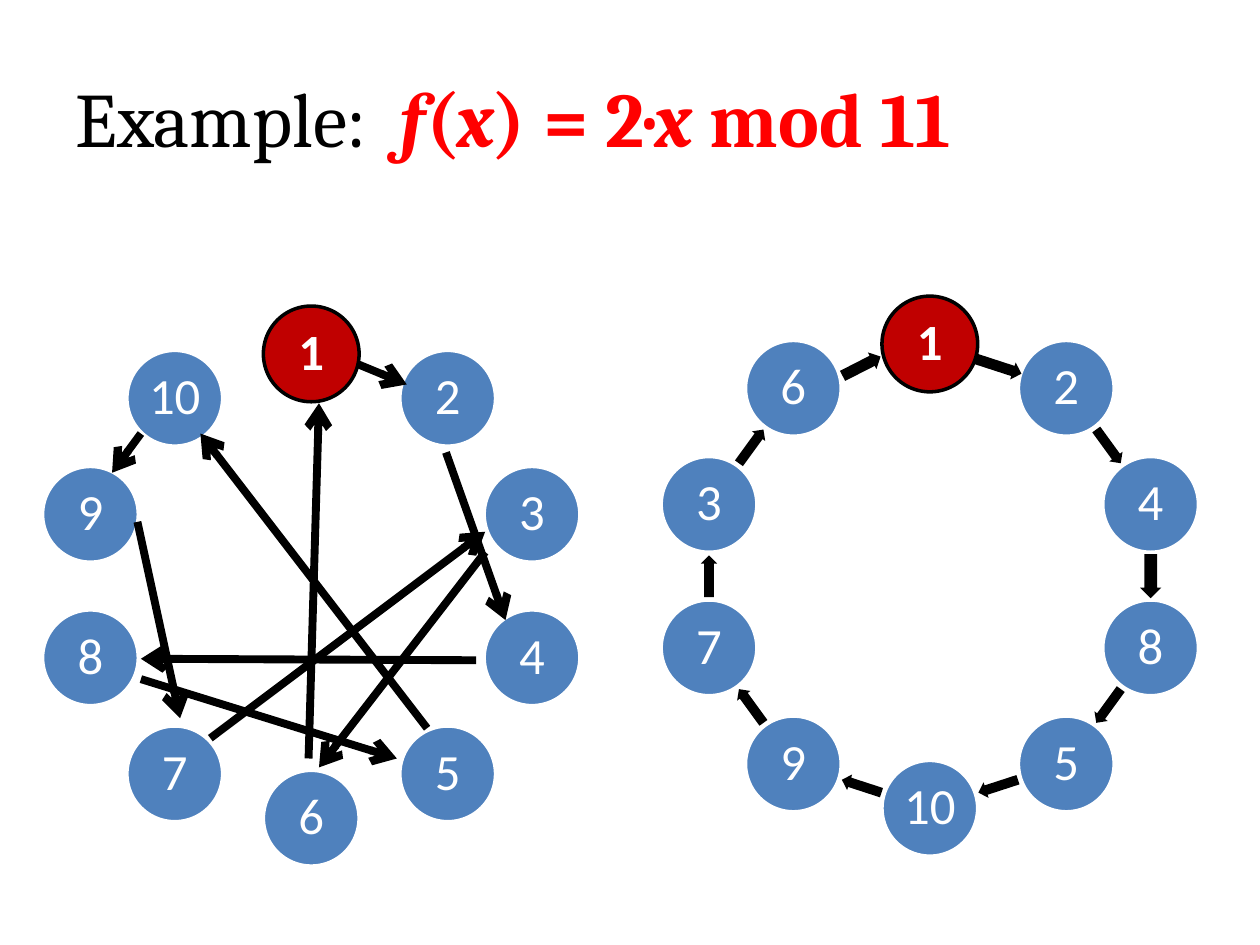
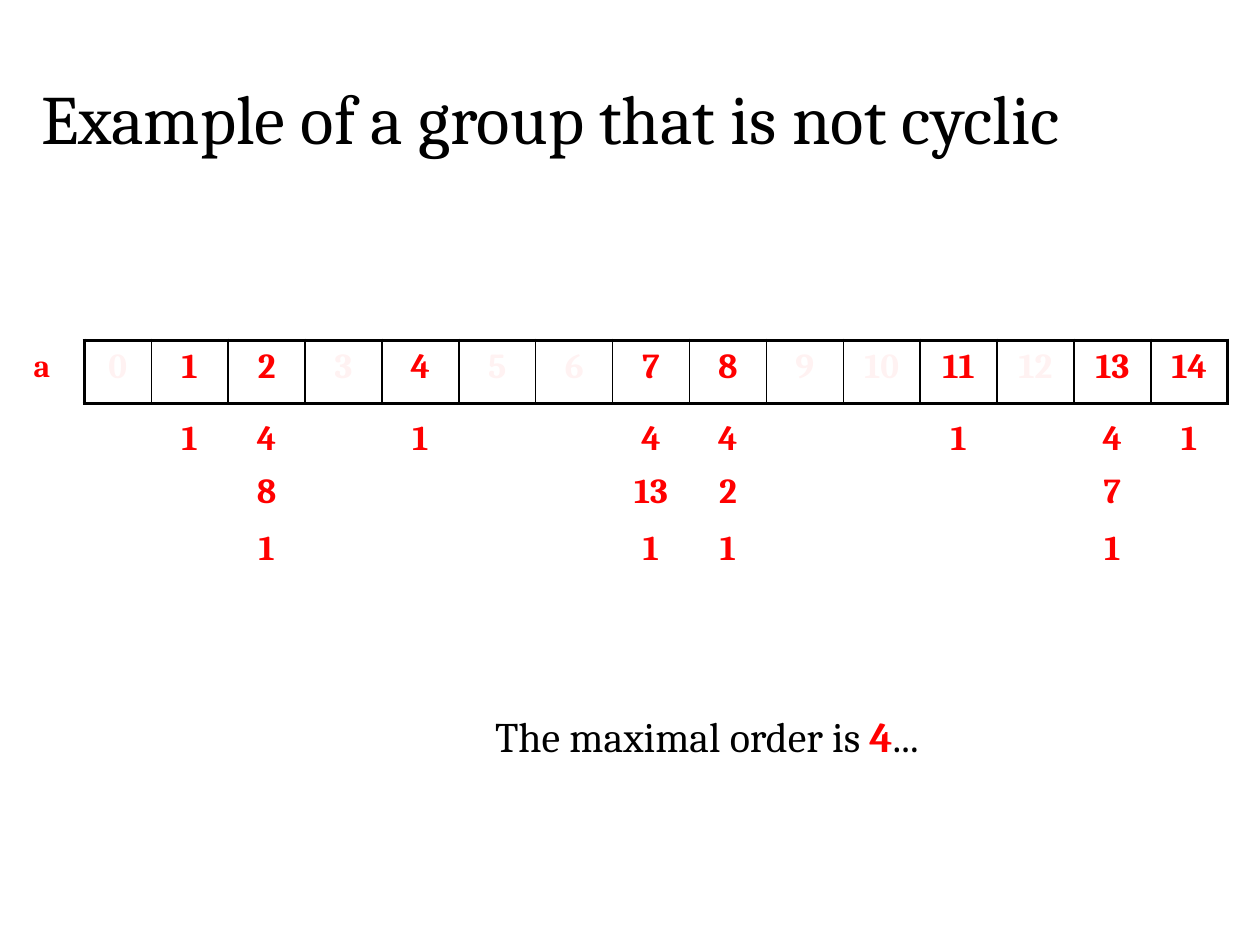
from dataclasses import dataclass
from math import cos, gcd, pi, sin

from lxml import etree
from pptx import Presentation
from pptx.dml.color import RGBColor
from pptx.enum import shapes as es, text as et
from pptx.oxml import ns
from pptx.util import Cm, Pt


@dataclass(frozen=True)
class Theme:
    serif: str = "Cambria"
    sans: str = "Calibri"
    ink: str = "000000"
    paper: str = "FFFFFF"
    red: str = "FF0000"
    start: str = "C00000"
    node: str = "4F81BD"
    title: float = 44
    small: float = 39.6
    digit: float = 29
    body: float = 24
    cell: float = 20
    label: float = 18
    rim: float = 2
    chord: float = 4.5
    frame: float = 2.25
    rule: float = 1


T = Theme()
DOT = 1.93
MOD = 15
FIRST, COL = 1.35, 1.55
POWERS_Y = (1.4, 2.46, 3.6)
CHORDS = [
    (6.58, 1.17, 7.57, 1.58),
    (8.36, 2.95, 9.56, 6.33),
    (9.15, 4.96, 5.8, 9.3),
    (8.97, 7.14, 2.21, 7.11),
    (7.98, 8.51, 3.41, 2.57),
    (5.59, 9.12, 5.8, 1.96),
    (3.61, 8.71, 9.15, 4.55),
    (2.21, 7.52, 7.37, 9.12),
    (2.14, 4.35, 3, 8.31),
    (2.21, 2.57, 1.63, 3.36),
]
ARROWS = {0: (0.99, 0.36, 18), 2: (0.89, 0.43, 90), 9: (0.86, 0.38, 333)}


def rgb(code):
    return RGBColor.from_string(code)


def style(font, size, color, bold=False, face=T.serif):
    font.name, font.size, font.bold = face, Pt(size), bold
    font.color.rgb = rgb(color)


def title(prs, box, size):
    slide = prs.slides.add_slide(prs.slide_layouts[5])
    head = slide.shapes.title
    head.left, head.top, head.width, head.height = map(Cm, box)
    frame = head.text_frame
    frame.auto_size = et.MSO_AUTO_SIZE.NONE
    frame.vertical_anchor = et.MSO_ANCHOR.MIDDLE
    para = frame.paragraphs[0]
    para.alignment = et.PP_ALIGN.LEFT
    style(para.font, size, T.ink)
    return slide, para


def note(slide, box, words, size, color, bold=True, wrap=True):
    frame = slide.shapes.add_textbox(*map(Cm, box)).text_frame
    frame.word_wrap = wrap
    para = frame.paragraphs[0]
    para.text = words
    para.alignment = et.PP_ALIGN.CENTER if wrap else et.PP_ALIGN.LEFT
    style(para.font, size, color, bold)
    return para


def solid(slide, kind, box, color):
    shape = slide.shapes.add_shape(kind, *map(Cm, box))
    shape.shadow.inherit = False
    shape.fill.solid()
    shape.fill.fore_color.rgb = rgb(color)
    shape.line.fill.background()
    return shape


def around(mid, radius, turn):
    return mid[0] + radius * sin(turn), mid[1] - radius * cos(turn)


def ring(slide, left, top, side, order):
    mid = left + side / 2, top + side / 2
    radius = (side - DOT) / 2
    for i, num in enumerate(order):
        x, y = around(mid, radius, i * pi / 5)
        first = num == 1
        dot = solid(slide, es.MSO_SHAPE.OVAL,
                    (x - DOT / 2, y - DOT / 2, DOT, DOT),
                    T.start if first else T.node)
        dot.line.color.rgb = rgb(T.ink if first else T.paper)
        dot.line.width = Pt(T.rim)
        frame = dot.text_frame
        frame.margin_left = frame.margin_right = 0
        frame.margin_top = frame.margin_bottom = 0
        frame.vertical_anchor = et.MSO_ANCHOR.MIDDLE
        para = frame.paragraphs[0]
        para.text = str(num)
        para.alignment = et.PP_ALIGN.CENTER
        para.line_spacing = 0.9
        style(para.font, T.digit, T.paper, first, T.sans)


def arrows(slide, left, top, side):
    mid = left + side / 2, top + side / 2
    radius = (side - DOT) / 2 * cos(pi / 10)
    for i in range(10):
        wide, high, turn = ARROWS.get(i, (0.84, 0.33, 18 + 36 * i))
        x, y = around(mid, radius, (i + 0.5) * pi / 5)
        arrow = solid(slide, es.MSO_SHAPE.RIGHT_ARROW,
                      (x - wide / 2, y - high / 2, wide, high), T.ink)
        arrow.adjustments[0] = 0.6
        arrow.adjustments[1] = 0.5
        arrow.rotation = turn


def chords(slide, left, top):
    for x, y, to_x, to_y in CHORDS:
        line = slide.shapes.add_connector(
            es.MSO_CONNECTOR.STRAIGHT,
            Cm(left + x), Cm(top + y), Cm(left + to_x), Cm(top + to_y))
        line.line.color.rgb = rgb(T.ink)
        line.line.width = Pt(T.chord)
        etree.SubElement(line.line._get_or_add_ln(), ns.qn("a:tailEnd"), type="arrow")
        etree.SubElement(line._element.spPr, ns.qn("a:effectLst"))


def border(cell, sides):
    props = cell._tc.get_or_add_tcPr()
    for i, (side, width) in enumerate(sides.items()):
        line = etree.Element(ns.qn("a:ln" + side), w=str(Pt(width)))
        fill = etree.SubElement(line, ns.qn("a:solidFill"))
        etree.SubElement(fill, ns.qn("a:srgbClr"), val=T.ink)
        props.insert(i, line)


def strip(slide, left, top):
    wide = FIRST + COL * (MOD - 1)
    table = slide.shapes.add_table(
        1, MOD, Cm(left), Cm(top), Cm(wide), Cm(1.27)).table
    table.first_row = table.horz_banding = False
    for num in range(MOD):
        table.columns[num].width = Cm(COL if num else FIRST)
        cell = table.cell(0, num)
        cell.fill.background()
        border(cell, {"L": T.rule if num else T.frame,
                      "R": T.rule if num < MOD - 1 else T.frame,
                      "T": T.frame, "B": T.frame})
        para = cell.text_frame.paragraphs[0]
        para.text = str(num)
        para.alignment = et.PP_ALIGN.CENTER
        style(para.font, T.cell, T.red, True)


def middle(left, num):
    return left + (FIRST + COL * (num - 0.5) if num else FIRST / 2)


def veils(slide, left, top):
    for num in range(MOD):
        if gcd(num, MOD) > 1:
            veil = solid(slide, es.MSO_SHAPE.RECTANGLE,
                         (middle(left, num) - 0.43, top + 0.2, 1.07, 0.84), T.paper)
            color = veil.fill._xPr.find(".//" + ns.qn("a:srgbClr"))
            etree.SubElement(color, ns.qn("a:alpha"), val="95000")


def powers(slide, left, top):
    for num in range(MOD):
        if gcd(num, MOD) > 1:
            continue
        for i, drop in enumerate(POWERS_Y):
            value = pow(num, i + 2, MOD)
            wide = 1.98 if value > 9 else 1.19
            note(slide, (middle(left, num) - wide / 2, top + drop, wide, 1.12),
                 str(value), T.cell, T.red)
            if value == 1:
                break


def cycles(prs):
    slide, para = title(prs, (1.27, 0.76, 22.86, 3.18), T.title)
    para.add_run().text = "Example:\u00a0 ".replace("\u00a0", " ")
    for words, slant in (("f", True), ("(", False), ("x", True),
                         (") = 2·", False), ("x ", True), ("mod 11", False)):
        run = para.add_run()
        run.text = words
        run.font.bold, run.font.italic = True, slant
        run.font.color.rgb = rgb(T.red)
    side = 11.29
    ring(slide, 0.63, 6.17, side, range(1, 11))
    chords(slide, 0.63, 6.17)
    ring(slide, 13.1, 5.97, side, [pow(2, i, 11) for i in range(10)])
    arrows(slide, 13.1, 5.97, side)


def orders(prs):
    slide, para = title(prs, (0.58, 0.76, 23.55, 3.18), T.small)
    para.add_run().text = "Example of a group that is not cyclic"
    left, top = 1.7, 6.86
    strip(slide, left, top)
    veils(slide, left, top)
    note(slide, (0.43, top, 0.86, 1.02), "a", T.label, T.red, wrap=False)
    powers(slide, left, top)
    para = note(slide, (9.73, 14.2, 9.6, 1.27), "The maximal order is ",
                T.body, T.ink, False, False)
    run = para.add_run()
    run.text = "4"
    run.font.bold = True
    run.font.color.rgb = rgb(T.red)
    para.add_run().text = "..."


def main():
    prs = Presentation()
    prs.slide_width, prs.slide_height = Cm(25.4), Cm(19.05)
    cycles(prs)
    orders(prs)
    prs.save("out.pptx")


if __name__ == "__main__":
    main()
